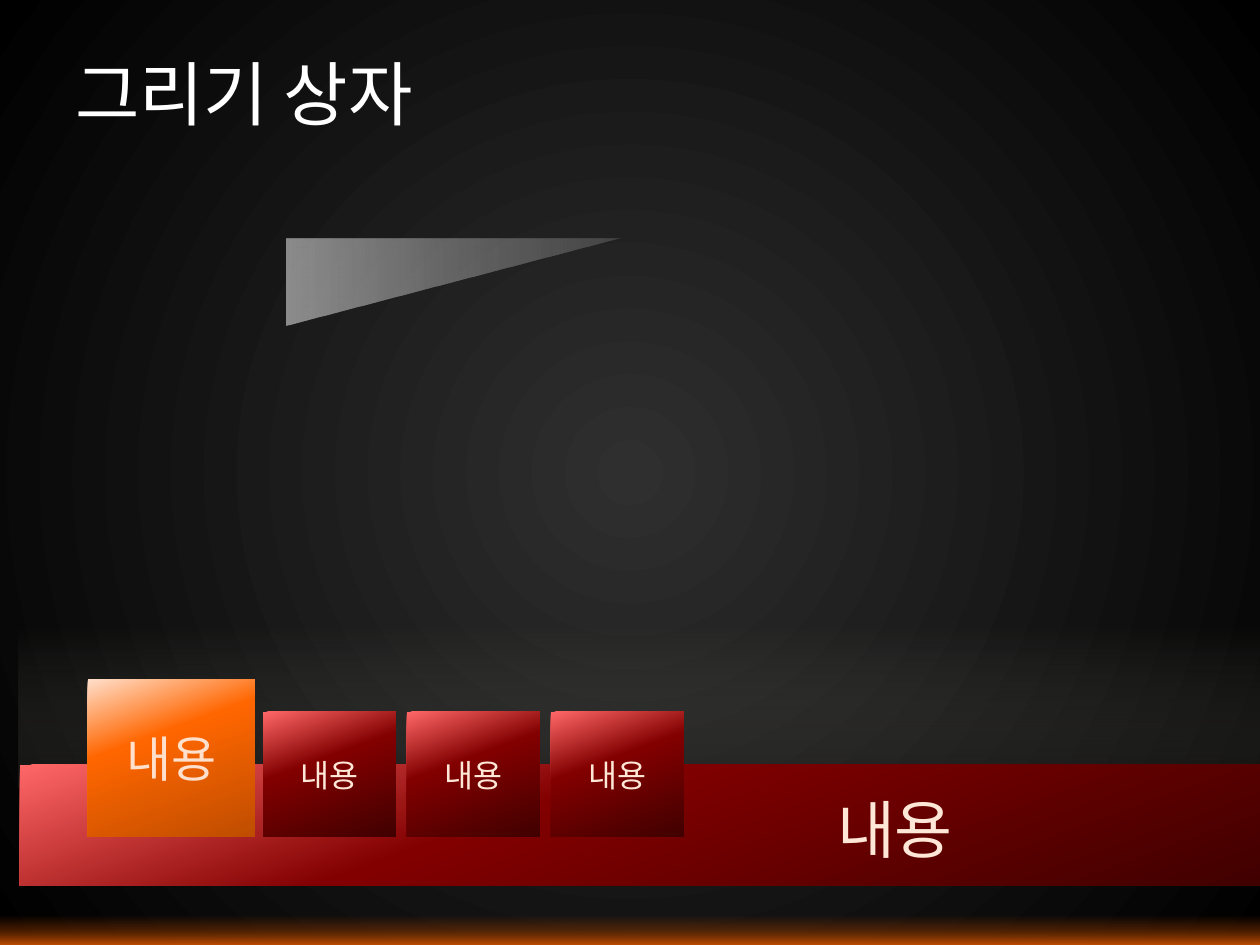
"""Build a dark slide with a red content band, four tiles and a light triangle."""
from lxml.etree import SubElement
from pptx import Presentation
from pptx.dml.color import RGBColor
from pptx.enum.shapes import MSO_SHAPE as Shape
from pptx.enum.text import MSO_ANCHOR as Anchor, PP_ALIGN as Align
from pptx.oxml import parse_xml
from pptx.oxml.ns import nsdecls, qn
from pptx.util import Pt

PX = 914400 // 126
WIDTH, HEIGHT = 1260, 945
FONT = "Arial"
COLORS = {
    "white": "FFFFFF", "cream": "FFE7D7", "peach": "FFE0CC",
    "orange": "FF6600", "rust": "BF4D00", "brown": "803300",
    "pink": "FF6767", "red": "820000", "maroon": "410000",
    "stone": "8C8A83", "soot": "2C2B28", "gray": "2F2F2F", "black": "000000",
}

BACKDROP = [(0, "gray", 100), (100, "black", 100)]
EDGE_GLOW = [(0, "brown", 0), (50, "brown", 54), (100, "rust", 100)]
FLOOR_GLOW = [(23, "stone", 0), (100, "soot", 39)]
RED = [(0, "pink", 100), (40, "red", 100), (100, "maroon", 100)]
ORANGE = [(0, "peach", 100), (37, "orange", 100), (100, "rust", 100)]
LIGHT = [(0, "white", 15), (50, "white", 30), (100, "white", 50)]

BARS = [
    ((0, 916, WIDTH, 29), EDGE_GLOW, 90),
    ((19, 581, 1241, 207), FLOOR_GLOW, 90),
    ((20, 765, 1240, 121), RED, 70),
]
TITLE = ("그리기 상자", (63, 38, 1134, 110), 40, "white")
CAPTION = ("내용", (837, 790, 272, 77), 36, "cream")
SMALL_TILES = ["내용", "내용", "내용"]
SMALL_LEFT, SMALL_STEP, SMALL_WIDTH, SMALL_HEIGHT = 263, 144, 133, 125
LARGE_TILE = ("내용", (88, 679, 167, 158))
TILE_BOTTOM = 837
TRIANGLE = (410, 115, 87, 334)


def emu(frame):
    return [value * PX for value in frame]


def paint(holder, stops, angle=None):
    gradient = parse_xml(f'<a:gradFill {nsdecls("a")} rotWithShape="1"/>')
    stop_list = SubElement(gradient, qn("a:gsLst"))
    for position, name, opacity in stops:
        stop = SubElement(stop_list, qn("a:gs"), pos=str(position * 1000))
        color = SubElement(stop, qn("a:srgbClr"), val=COLORS[name])
        if opacity < 100:
            SubElement(color, qn("a:alpha"), val=str(opacity * 1000))
    if angle is None:
        route = SubElement(gradient, qn("a:path"), path="circle")
        SubElement(route, qn("a:fillToRect"), l="50000", t="50000", r="50000", b="50000")
    else:
        SubElement(gradient, qn("a:lin"), ang=str(angle * 60000), scaled="0")
    holder.replace(holder.find(qn("a:solidFill")), gradient)


def add_block(page, frame, stops, angle, kind=Shape.RECTANGLE):
    block = page.shapes.add_shape(kind, *emu(frame))
    block.shadow.inherit = False
    block.line.fill.background()
    block.fill.solid()
    paint(block.element.spPr, stops, angle)
    return block


def write(box, text, size, color, align=Align.LEFT):
    frame = box.text_frame
    frame.text = text
    frame.word_wrap = True
    frame.vertical_anchor = Anchor.MIDDLE
    para = frame.paragraphs[0]
    para.alignment = align
    font = para.runs[0].font
    font.name, font.size = FONT, Pt(size)
    font.color.rgb = RGBColor.from_string(COLORS[color])


def add_label(page, text, frame, size, color):
    box = page.shapes.add_textbox(*emu(frame))
    write(box, text, size, color)
    return box.text_frame


def main():
    deck = Presentation()
    deck.slide_width, deck.slide_height = emu((WIDTH, HEIGHT))
    page = deck.slides.add_slide(deck.slide_layouts[6])
    page.background.fill.solid()
    paint(page.element.find(".//" + qn("p:bgPr")), BACKDROP)

    for frame, stops, angle in BARS:
        add_block(page, frame, stops, angle)
    add_label(page, *TITLE)

    for index, text in enumerate(SMALL_TILES):
        left = SMALL_LEFT + index * SMALL_STEP
        frame = (left, TILE_BOTTOM - SMALL_HEIGHT, SMALL_WIDTH, SMALL_HEIGHT)
        write(add_block(page, frame, RED, 70), text, 18, "cream", Align.CENTER)
    text, frame = LARGE_TILE
    write(add_block(page, frame, ORANGE, 70), text, 28, "peach", Align.CENTER)

    caption = add_label(page, *CAPTION)
    caption.margin_left = caption.margin_right = 0
    caption.margin_top = caption.margin_bottom = 0

    add_block(page, TRIANGLE, LIGHT, 90, Shape.RIGHT_TRIANGLE).rotation = 90
    deck.save("out.pptx")


if __name__ == "__main__":
    main()
